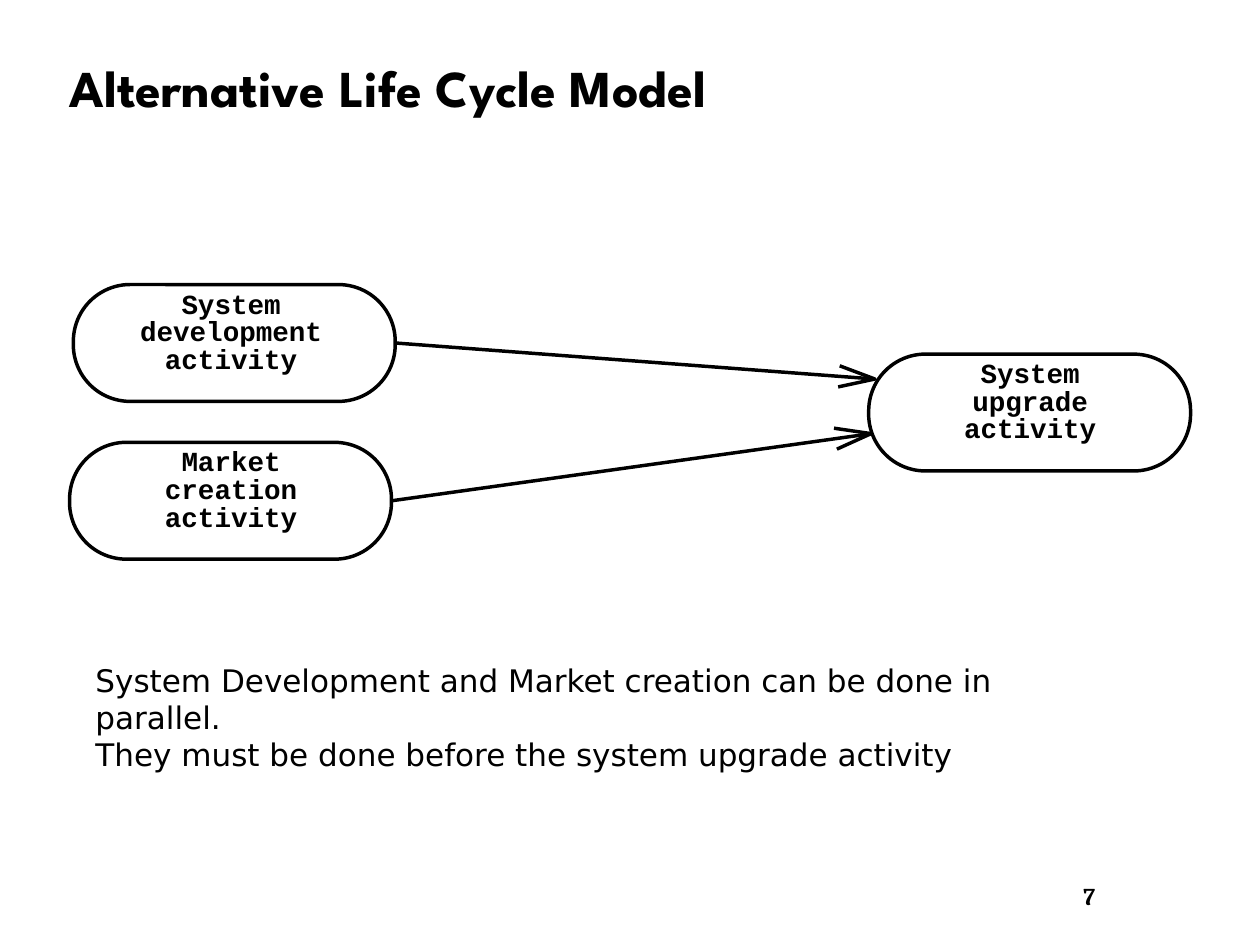
import math

from lxml import etree
from pptx import Presentation
from pptx import util as u
from pptx.dml.color import RGBColor
from pptx.enum import shapes, text
from pptx.oxml import ns

COLORS = {"ink": "000000", "paper": "FFFFFF"}
FORMATS = {
    "title": {"name": "League Spartan", "size": u.Pt(30), "bold": True},
    "activity": {"name": "Courier New", "size": u.Pt(16), "bold": True},
    "body": {"name": "DejaVu Sans", "size": u.Pt(18), "bold": False},
    "number": {"name": "Cambria", "size": u.Pt(14), "bold": True},
}
SLIDE_WIDTH = u.Pt(730)
LINE_WIDTH = u.Pt(2)
ACTIVITY_SIZE = (2.59, 0.94)
LABEL_SIZE = (1.6, 0.7)
HEAD_LENGTH, HEAD_HALF_WIDTH = 0.29, 0.085


def color(name):
    return RGBColor.from_string(COLORS[name])


def set_values(target, values):
    for name, value in values.items():
        setattr(target, name, value)


def draw_line(shape):
    shape.line.color.rgb = color("ink")
    shape.line.width = LINE_WIDTH


def add_text(slide, box, lines, style, frame_values=None, paragraph_values=None):
    """Place a text box with one formatted paragraph per line."""
    frame = slide.shapes.add_textbox(*map(u.Inches, box)).text_frame
    set_values(frame, {"word_wrap": True, **(frame_values or {})})
    frame.text = "\n".join(lines)
    for paragraph in frame.paragraphs:
        set_values(paragraph, paragraph_values or {})
        for run in paragraph.runs:
            set_values(run.font, FORMATS[style])
            run.font.color.rgb = color("ink")


def add_activity(slide, left, top, label_center, lines):
    """Draw a rounded outline with its label near the top."""
    shape = slide.shapes.add_shape(
        shapes.MSO_SHAPE.ROUNDED_RECTANGLE,
        *map(u.Inches, (left, top, *ACTIVITY_SIZE)))
    shape.adjustments[0] = 0.486
    shape.shadow.inherit = False
    shape.fill.background()
    draw_line(shape)
    sides = ("left", "top", "right", "bottom")
    add_text(slide, (label_center - LABEL_SIZE[0] / 2, top + 0.06, *LABEL_SIZE),
             lines, "activity",
             {f"margin_{side}": 0 for side in sides},
             {"alignment": text.PP_ALIGN.CENTER, "line_spacing": u.Pt(16)})
    return shape


def add_arrow(slide, source, tip):
    """Join the right side of an activity to a tip with an open head."""
    tip_x, tip_y = map(u.Inches, tip)
    shaft = slide.shapes.add_connector(
        shapes.MSO_CONNECTOR.STRAIGHT, source.left + source.width,
        source.top + source.height // 2, tip_x, tip_y)
    shaft.begin_connect(source, 3)
    draw_line(shaft)
    etree.SubElement(shaft._element.spPr, ns.qn("a:effectLst"))

    # Barbs on both sides of the shaft
    angle = math.atan2(tip_y - shaft.begin_y, tip_x - shaft.begin_x)
    along_x, along_y = math.cos(angle), math.sin(angle)
    length, half = u.Inches(HEAD_LENGTH), u.Inches(HEAD_HALF_WIDTH)
    upper, lower = [
        (round(tip_x - length * along_x - side * half * along_y),
         round(tip_y - length * along_y + side * half * along_x))
        for side in (-1, 1)]
    builder = slide.shapes.build_freeform(*upper)
    builder.add_line_segments([(tip_x, tip_y), lower], close=False)
    head = builder.convert_to_shape()
    head.shadow.inherit = False
    head.fill.background()
    draw_line(head)


def add_life_cycle(slide, left, top):
    """Two parallel activities leading to the upgrade."""
    add_activity(slide, left + 6.4, top + 0.56, left + 7.7,
                 ["System", "upgrade", "activity"])
    development = add_activity(slide, left, top, left + 1.27,
                               ["System", "development", "activity"])
    market = add_activity(slide, left - 0.03, top + 1.27, left + 1.27,
                          ["Market", "creation", "activity"])
    add_arrow(slide, development, (left + 6.45, top + 0.76))
    add_arrow(slide, market, (left + 6.42, top + 1.2))


def main():
    presentation = Presentation()
    presentation.slide_width = SLIDE_WIDTH
    presentation.slide_height = SLIDE_WIDTH * 3 // 4
    slide = presentation.slides.add_slide(presentation.slide_layouts[6])
    slide.background.fill.solid()
    slide.background.fill.fore_color.rgb = color("paper")

    # Title
    add_text(slide, (0.46, 0.25, 9.04, 0.96), ["Alternative Life Cycle Model"],
             "title", {"vertical_anchor": text.MSO_ANCHOR.MIDDLE},
             {"line_spacing": 0.9})
    # Diagram
    add_life_cycle(slide, 0.59, 2.29)
    # Explanation
    add_text(slide, (0.67, 5.27, 7.93, 1.0),
             ["System Development and Market creation can be done in parallel.",
              "They must be done before the system upgrade activity"], "body")
    # Page number
    add_text(slide, (8.62, 7.04, 1.14, 0.34), ["7"], "number")

    presentation.save("out.pptx")


if __name__ == "__main__":
    main()
